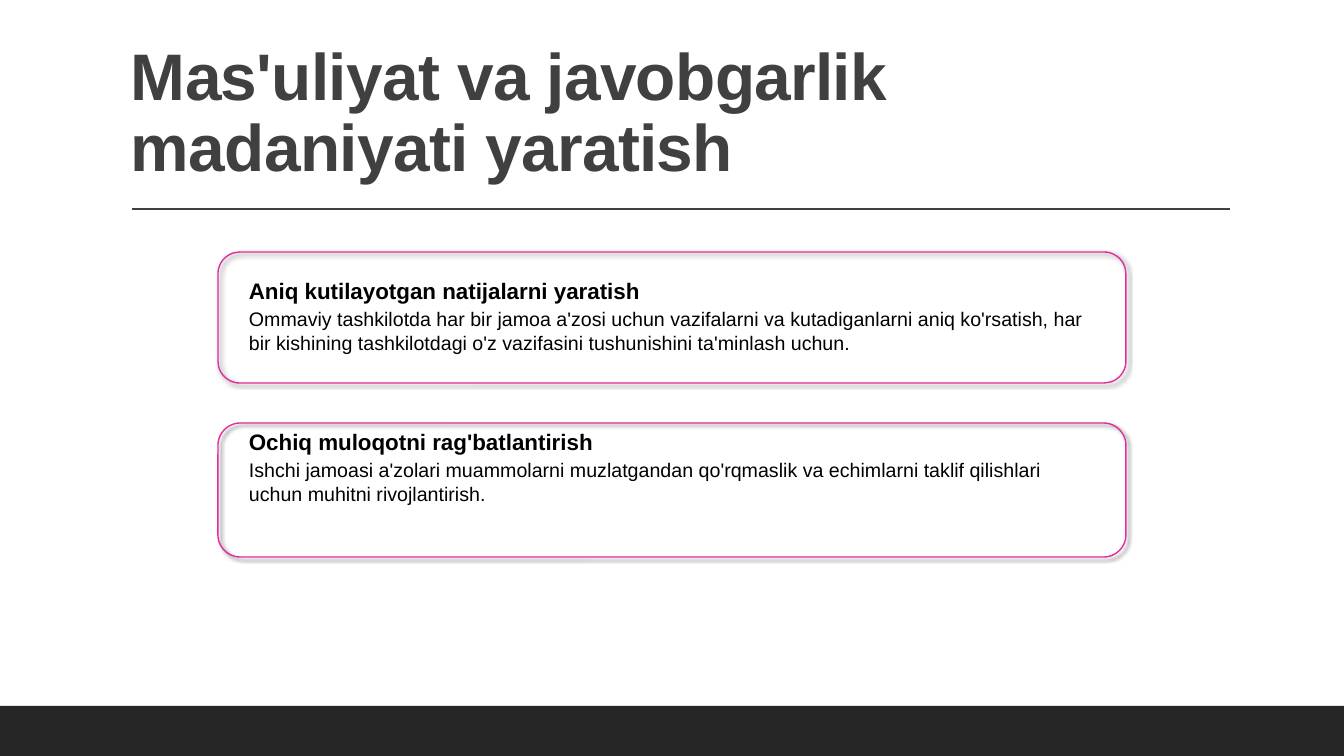
from lxml import etree
from pptx import Presentation
from pptx import util as u
from pptx.dml.color import RGBColor
from pptx.enum import shapes, text
from pptx.oxml.ns import qn

PX = 914400 / 100.8
INK = {"title": "404040", "body": "000000", "card": "E32D9B", "foot": "262626"}

deck = Presentation()
deck.slide_width, deck.slide_height = u.Emu(12192000), u.Emu(6858000)
slide = deck.slides.add_slide(deck.slide_layouts[6])


def px(*nums):
    return [u.Emu(round(n * PX)) for n in nums]


def write(words, box, size, color="body", bold=False, anchor="TOP",
          fit="SHAPE_TO_FIT_TEXT", lead=1.0, gap=0):
    frame = slide.shapes.add_textbox(*px(*box)).text_frame
    frame.word_wrap = True
    frame.auto_size = text.MSO_AUTO_SIZE[fit]
    frame.vertical_anchor = text.MSO_ANCHOR[anchor]
    para = frame.paragraphs[0]
    para.line_spacing = lead
    run = para.add_run()
    run.text = words
    font = run.font
    font.name, font.size, font.bold = "Arial", u.Pt(size), bold
    font.color.rgb = RGBColor.from_string(INK[color])
    if gap:
        run._r.get_or_add_rPr().set("spc", str(gap))


# Footer band
foot = slide.shapes.add_shape(shapes.MSO_SHAPE.RECTANGLE, *px(0, 706, 1344, 50))
foot.shadow.inherit = False
foot.fill.solid()
foot.fill.fore_color.rgb = RGBColor.from_string(INK["foot"])
foot.line.fill.background()

# Title and rule
write("Mas'uliyat va javobgarlik madaniyati yaratish", (121, 31, 1109, 160), 47,
      color="title", bold=True, anchor="BOTTOM", fit="NONE", lead=0.9, gap=-50)
rule = slide.shapes.add_connector(shapes.MSO_CONNECTOR.STRAIGHT,
                                  *px(132, 209, 1230, 209))
rule.line.color.rgb = RGBColor.from_string(INK["title"])
rule.line.width = u.Pt(1)
etree.SubElement(rule._element.spPr, qn("a:effectLst"))

# Cards: top, height, top of text, heading, body
cards = [
    (252, 131, 272, "Aniq kutilayotgan natijalarni yaratish",
     "Ommaviy tashkilotda har bir jamoa a'zosi uchun vazifalarni va kutadiganlarni "
     "aniq ko'rsatish, har bir kishining tashkilotdagi o'z vazifasini tushunishini "
     "ta'minlash uchun."),
    (423, 134, 423, "Ochiq muloqotni rag'batlantirish",
     "Ishchi jamoasi a'zolari muammolarni muzlatgandan qo'rqmaslik va echimlarni "
     "taklif qilishlari uchun muhitni rivojlantirish."),
]
for top, high, start, head, body in cards:
    card = slide.shapes.add_shape(shapes.MSO_SHAPE.ROUNDED_RECTANGLE,
                                  *px(218, top, 908, high))
    card.fill.background()
    card.line.color.rgb = RGBColor.from_string(INK["card"])
    card.line.width = u.Pt(1)

    # Soft shadow, down and to the right
    card.shadow.inherit = False
    glow = etree.SubElement(card._element.spPr.find(qn("a:effectLst")),
                            qn("a:outerShdw"), blurRad=str(u.Pt(3)),
                            dist=str(u.Pt(2)), dir="2700000", algn="tl",
                            rotWithShape="0")
    tone = etree.SubElement(glow, qn("a:srgbClr"), val=INK["body"])
    etree.SubElement(tone, qn("a:alpha"), val="60000")

    write(head, (239, start, 867, 30), 16, bold=True)
    write(body, (239, start + 30, 867, 81), 14)

deck.save("out.pptx")
